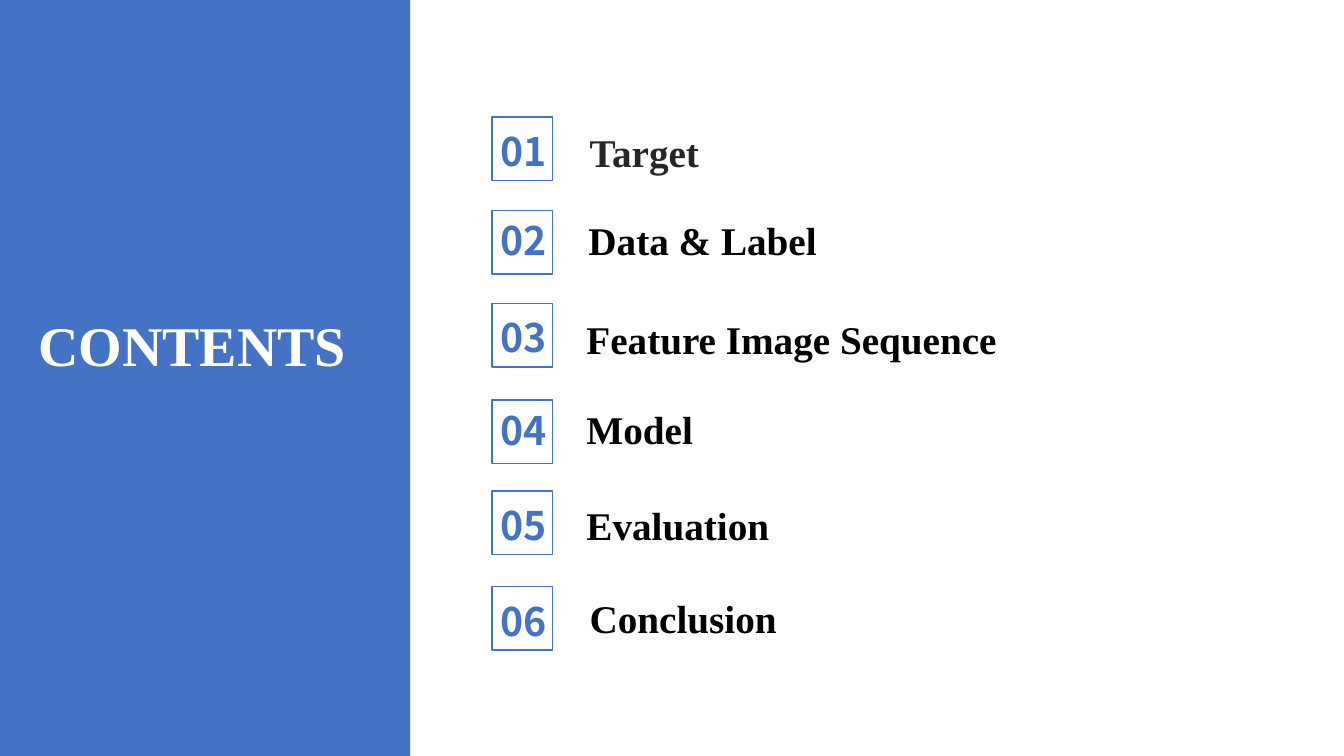
from pptx import Presentation
from pptx.dml.color import RGBColor
from pptx.enum.shapes import MSO_SHAPE
from pptx.enum.text import MSO_ANCHOR, MSO_AUTO_SIZE, PP_ALIGN
from pptx.util import Cm, Pt

RECTANGLE = MSO_SHAPE.RECTANGLE
MIDDLE, BOTTOM = MSO_ANCHOR.MIDDLE, MSO_ANCHOR.BOTTOM
LEFT, CENTER, RIGHT = PP_ALIGN.LEFT, PP_ALIGN.CENTER, PP_ALIGN.RIGHT
NO_AUTOFIT = MSO_AUTO_SIZE.NONE
TITLE_ONLY = 5

HEADING = "CONTENTS"
TOPICS = [
    {"label": "Target", "frame_top": 2.95, "number_top": 3.07, "label_at": (14.61, 3.1), "color": "dark"},
    {"label": "Data & Label", "frame_top": 5.31, "number_top": 5.31, "label_at": (14.58, 5.31), "color": "black"},
    {"label": "Feature Image Sequence", "frame_top": 7.65, "number_top": 7.77, "label_at": (14.53, 7.8), "color": "black"},
    {"label": "Model", "frame_top": 10.08, "number_top": 10.11, "label_at": (14.53, 10.08), "color": "black"},
    {"label": "Evaluation", "frame_top": 12.37, "number_top": 12.5, "label_at": (14.53, 12.5), "color": "black"},
    {"label": "Conclusion", "frame_top": 14.78, "number_top": 14.91, "label_at": (14.61, 14.83), "color": "black"},
]
THEME = {
    "blue": RGBColor(0x44, 0x72, 0xC4),
    "white": RGBColor(0xFF, 0xFF, 0xFF),
    "dark": RGBColor(0x26, 0x26, 0x26),
    "black": RGBColor(0, 0, 0),
    "serif": "Times New Roman",
    "sans": "Noto Sans CJK SC",
    "heading_size": Pt(40),
    "topic_size": Pt(28),
    "frame_line": Pt(1),
}
SLIDE_WIDTH, SLIDE_HEIGHT = 33.87, 19.05
PANEL_WIDTH = 10.34
TEXT_HEIGHT = 1.45


def set_attributes(target, values):
    for name, value in values.items():
        setattr(target, name, value)


def place(shape, left, top, width, height):
    set_attributes(shape, {"left": Cm(left), "top": Cm(top), "width": Cm(width), "height": Cm(height)})


def write(shape, text, font, alignment, anchor, margin):
    frame = shape.text_frame
    set_attributes(frame, {
        "text": text, "word_wrap": True, "auto_size": NO_AUTOFIT, "vertical_anchor": anchor,
        "margin_left": Cm(0.25), "margin_right": Cm(0.25),
        "margin_top": Cm(margin), "margin_bottom": Cm(margin),
    })
    paragraph = frame.paragraphs[0]
    paragraph.alignment = alignment
    color, family, size = font
    set_attributes(paragraph.runs[0].font, {"name": THEME[family], "size": THEME[size], "bold": True})
    paragraph.runs[0].font.color.rgb = THEME[color]


def add_rectangle(slide, left, top, width, height):
    shape = slide.shapes.add_shape(RECTANGLE, Cm(left), Cm(top), Cm(width), Cm(height))
    shape.shadow.inherit = False
    return shape


def add_text(slide, left, top, width, *content):
    shape = slide.shapes.add_textbox(Cm(left), Cm(top), Cm(width), Cm(TEXT_HEIGHT))
    write(shape, *content)


def add_heading(slide):
    panel = add_rectangle(slide, 0, 0, PANEL_WIDTH, SLIDE_HEIGHT)
    panel.fill.solid()
    panel.fill.fore_color.rgb = THEME["blue"]
    panel.line.fill.background()
    title = slide.shapes.title
    panel.element.addnext(title.element)
    place(title, 0, 7.7, 8.97, 1.96)
    write(title, HEADING, ("white", "serif", "heading_size"), RIGHT, BOTTOM, 0.13)


def add_topic(slide, number, topic):
    frame = add_rectangle(slide, 12.4, topic["frame_top"], 1.52, 1.6)
    frame.fill.background()
    frame.line.color.rgb = THEME["blue"]
    frame.line.width = THEME["frame_line"]
    add_text(slide, 11.79, topic["number_top"], 2.82,
             f"{number:02d}", ("blue", "sans", "topic_size"), CENTER, MIDDLE, 0)
    add_text(slide, *topic["label_at"], 17.15,
             topic["label"], (topic["color"], "serif", "topic_size"), LEFT, BOTTOM, 0.13)


def main():
    presentation = Presentation()
    set_attributes(presentation, {"slide_width": Cm(SLIDE_WIDTH), "slide_height": Cm(SLIDE_HEIGHT)})
    slide = presentation.slides.add_slide(presentation.slide_layouts[TITLE_ONLY])
    add_heading(slide)
    for number, topic in enumerate(TOPICS, 1):
        add_topic(slide, number, topic)
    presentation.save("out.pptx")


if __name__ == "__main__":
    main()
